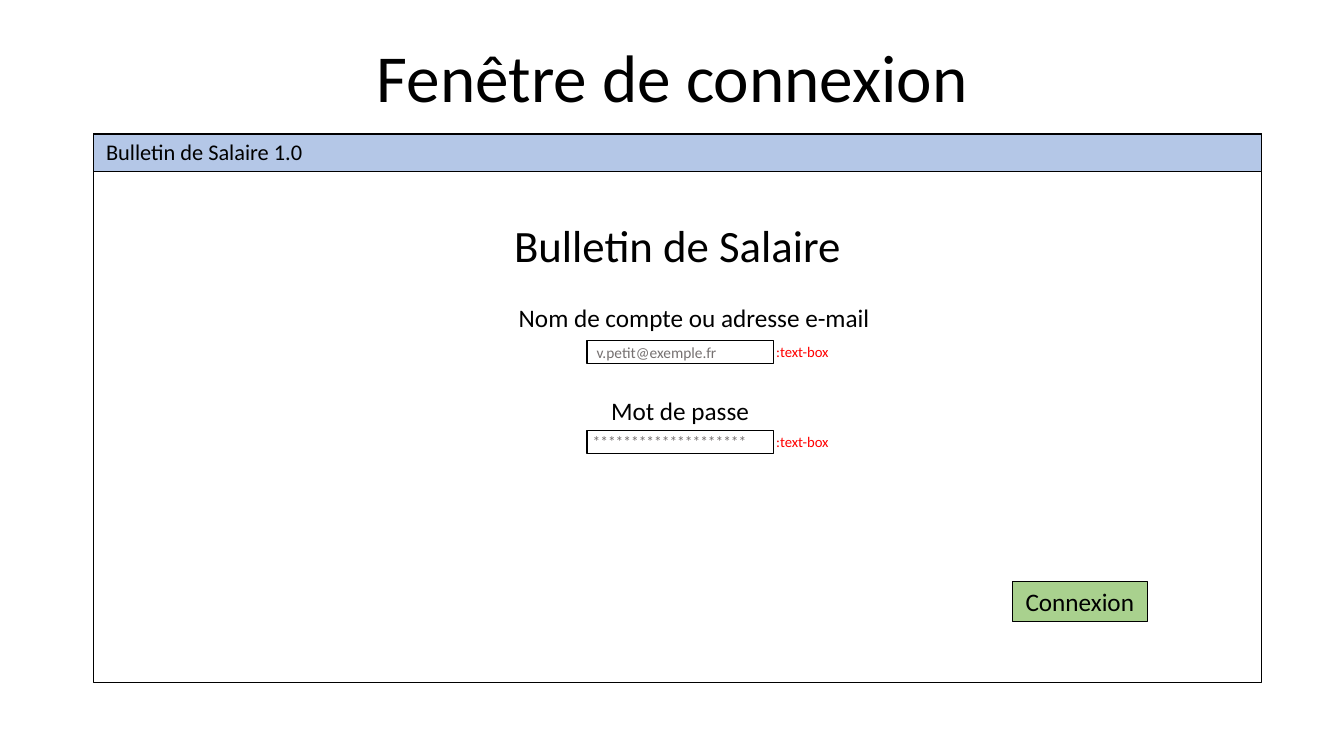
from pptx import Presentation
from pptx.dml.color import RGBColor
from pptx.enum.shapes import MSO_SHAPE
from pptx.enum.text import MSO_ANCHOR, PP_ALIGN
from pptx.util import Emu, Pt

EMU_PER_PX = 9144  # 100 px to the inch
BLACK = RGBColor(0x00, 0x00, 0x00)
RED = RGBColor(0xFF, 0x00, 0x00)
GREY = RGBColor(0x76, 0x71, 0x71)
BLUE = RGBColor(0xB4, 0xC7, 0xE7)
GREEN = RGBColor(0xA9, 0xD1, 0x8E)


def px(*lengths):
    return [Emu(length * EMU_PER_PX) for length in lengths]


class Mockup:
    """Draws the parts of a window sketch on one slide."""

    font_name = "Calibri"

    def __init__(self, slide):
        self.slide = slide

    def fill_text(self, shape, text, size, color=BLACK, align=PP_ALIGN.LEFT,
                  anchor=MSO_ANCHOR.TOP, spacing=None):
        frame = shape.text_frame
        frame.word_wrap = True
        frame.vertical_anchor = anchor
        frame.text = text
        paragraph = frame.paragraphs[0]
        paragraph.alignment = align
        paragraph.line_spacing = spacing
        font = paragraph.runs[0].font
        font.name = self.font_name
        font.size = Pt(size)
        font.color.rgb = color

    def label(self, box, text, size, **style):
        shape = self.slide.shapes.add_textbox(*px(*box))
        self.fill_text(shape, text, size, **style)

    def heading(self, box, text, size, spacing):
        self.label(box, text, size, align=PP_ALIGN.CENTER,
                   anchor=MSO_ANCHOR.BOTTOM, spacing=spacing)

    def rectangle(self, box, fill=None, line_width=1):
        shape = self.slide.shapes.add_shape(MSO_SHAPE.RECTANGLE, *px(*box))
        shape.shadow.inherit = False
        if fill is None:
            shape.fill.background()
        else:
            shape.fill.solid()
            shape.fill.fore_color.rgb = fill
        shape.line.color.rgb = BLACK
        shape.line.width = Pt(line_width)
        return shape

    def button(self, box, text):
        shape = self.rectangle(box, GREEN, 0.75)
        self.fill_text(shape, text, 18, align=PP_ALIGN.CENTER)

    def field(self, top, name, name_box, value, value_left):
        """Adds a name, an input box with its value, and the red type note."""
        self.rectangle((582, top, 185, 23))
        self.label(name_box, name, 18, align=PP_ALIGN.CENTER)
        self.label((value_left, top - 3, 178, 29), value, 11, color=GREY)
        self.label((760, top - 3, 78, 28), ":text-box", 10.5, color=RED)


def main():
    presentation = Presentation()
    presentation.slide_width, presentation.slide_height = px(1333, 750)
    slide = presentation.slides.add_slide(presentation.slide_layouts[6])
    mockup = Mockup(slide)

    mockup.rectangle((93, 133, 1158, 544))
    mockup.heading((92, 40, 1150, 79), "Fenêtre de connexion", 48, 0.8)
    mockup.rectangle((93, 133, 1158, 37), BLUE)
    mockup.heading((93, 135, 219, 33), "Bulletin de Salaire 1.0", 16, 0.8)
    mockup.heading((491, 196, 362, 79), "Bulletin de Salaire", 32, 0.9)

    mockup.field(338, "Nom de compte ou adresse e-mail", (497, 295, 383, 40),
                 "v.petit@exemple.fr", 582)
    mockup.field(427, "Mot de passe", (582, 387, 185, 40), "*" * 20, 578)
    mockup.button((1004, 577, 134, 40), "Connexion")

    presentation.save("out.pptx")


if __name__ == "__main__":
    main()
